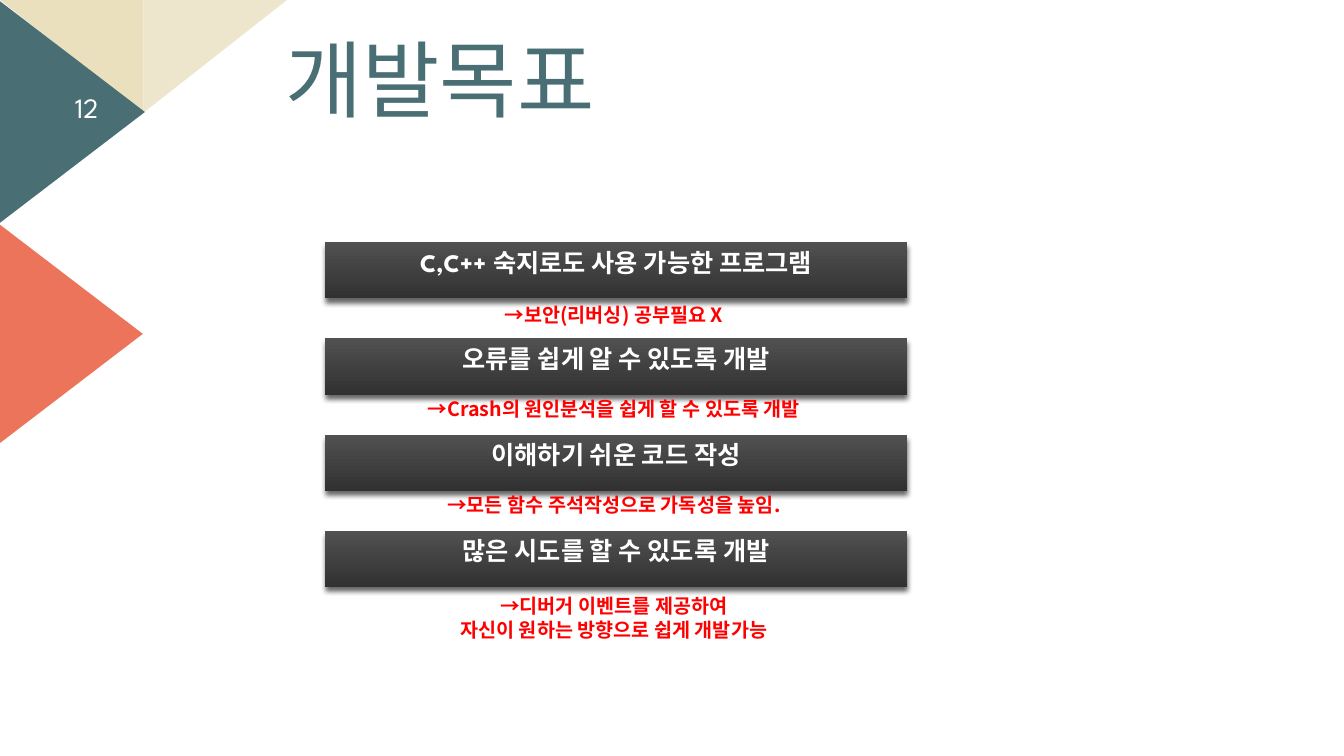
from dataclasses import dataclass

from lxml.etree import SubElement
from pptx import Presentation
from pptx.dml.color import RGBColor
from pptx.enum.shapes import MSO_SHAPE
from pptx.enum.text import MSO_ANCHOR, MSO_AUTO_SIZE, PP_ALIGN
from pptx.oxml.ns import qn
from pptx.util import Pt

TITLE = "개발목표"
PAGE_NUMBER = "12"
# Goal, explanation lines, explanation top and height
GOALS = [
    ("C,C++ 숙지로도 사용 가능한 프로그램", ["→보안(리버싱) 공부필요 X"], 213, 24.5),
    ("오류를 쉽게 알 수 있도록 개발", ["→Crash의 원인분석을 쉽게 할 수 있도록 개발"], 280, 49),
    ("이해하기 쉬운 코드 작성", ["→모든 함수 주석작성으로 가독성을 높임."], 348.5, 24.5),
    ("많은 시도를 할 수 있도록 개발",
     ["→디버거 이벤트를 제공하여", "자신이 원하는 방향으로 쉽게 개발가능"], 421, 41),
]


@dataclass(frozen=True)
class Theme:
    latin: str = "League Spartan"
    korean: str = "Noto Sans CJK KR"
    teal: str = "496F74"
    coral: str = "EC745B"
    sand: str = "EAE0BE"
    pale_sand: str = "EEE6CC"
    bar_top: str = "515151"
    bar_bottom: str = "313131"
    bar_text: str = "FFFFFF"
    page_text: str = "FEFFFF"
    red: str = "FF0000"
    shadow: str = "000000"
    title_size: int = 60
    page_size: int = 20
    goal_size: int = 18
    note_size: int = 14


THEME = Theme()
# Shape, box, rotation, mirrored, colour
TRIANGLES = [
    (MSO_SHAPE.RIGHT_TRIANGLE, (0, 0, 102.5, 80.5), 180, False, THEME.sand),
    (MSO_SHAPE.RIGHT_TRIANGLE, (102.5, 0, 102.5, 80.5), 180, True, THEME.pale_sand),
    (MSO_SHAPE.ISOSCELES_TRIANGLE, (-28, 28, 159, 104), 90, False, THEME.teal),
    (MSO_SHAPE.ISOSCELES_TRIANGLE, (-29.5, 186.5, 159, 104), 90, False, THEME.coral),
]
BAR_LEFT, BAR_TOP, BAR_WIDTH, BAR_HEIGHT, BAR_PITCH = 232, 172.8, 416, 40.3, 68.8
NOTE_LEFT, NOTE_WIDTH = 229, 419


def rgb(color):
    return RGBColor.from_string(color)


def points(box):
    return [Pt(length) for length in box]


def write(shape, lines, font, size, color, bold=False, frame_format=None, **paragraph_format):
    """Fill a shape with one formatted paragraph per line."""
    frame = shape.text_frame
    settings = {"word_wrap": True, "vertical_anchor": MSO_ANCHOR.TOP,
                "auto_size": MSO_AUTO_SIZE.NONE, **(frame_format or {})}
    for name, value in settings.items():
        setattr(frame, name, value)
    for index, line in enumerate(lines):
        paragraph = frame.add_paragraph() if index else frame.paragraphs[0]
        for name, value in paragraph_format.items():
            setattr(paragraph, name, value)
        run = paragraph.add_run()
        run.text = line
        run_format = {"name": font, "size": Pt(size), "bold": bold}
        for name, value in run_format.items():
            setattr(run.font, name, value)
        run.font.color.rgb = rgb(color)
        east_asian = SubElement(run.font._element, qn("a:ea"))
        east_asian.set("typeface", THEME.korean)


def add_plain_shape(slide, kind, box):
    shape = slide.shapes.add_shape(kind, *points(box))
    shape.shadow.inherit = False
    shape.line.fill.background()
    return shape


def add_triangle(slide, kind, box, rotation, mirrored, color):
    triangle = add_plain_shape(slide, kind, box)
    triangle.rotation = rotation
    triangle.fill.solid()
    triangle.fill.fore_color.rgb = rgb(color)
    if mirrored:
        triangle._element.spPr.xfrm.set("flipH", "1")


def add_bar_shadow(bar):
    effects = bar._element.spPr.find(qn("a:effectLst"))
    shadow = SubElement(effects, qn("a:outerShdw"), blurRad=str(Pt(4)), dist=str(Pt(3)),
                        dir="5400000", rotWithShape="0")
    color = SubElement(shadow, qn("a:srgbClr"), val=THEME.shadow)
    SubElement(color, qn("a:alpha"), val="60000")


def add_bar(slide, top, goal):
    bar = add_plain_shape(slide, MSO_SHAPE.RECTANGLE, (BAR_LEFT, top, BAR_WIDTH, BAR_HEIGHT))
    bar.fill.gradient()
    bar.fill.gradient_angle = 270
    for stop, color in zip(bar.fill.gradient_stops, (THEME.bar_top, THEME.bar_bottom)):
        stop.color.rgb = rgb(color)
    add_bar_shadow(bar)
    write(bar, [goal], THEME.latin, THEME.goal_size, THEME.bar_text, True,
          alignment=PP_ALIGN.CENTER, space_before=Pt(10))


def add_note(slide, top, height, lines):
    note = slide.shapes.add_textbox(*points((NOTE_LEFT, top, NOTE_WIDTH, height)))
    write(note, lines, THEME.korean, THEME.note_size, THEME.red, True,
          alignment=PP_ALIGN.CENTER)


def add_title(slide):
    title = slide.shapes.title
    title.left, title.top, title.width, title.height = points((196.5, 24, 436, 93))
    write(title, [TITLE], THEME.korean, THEME.title_size, THEME.teal,
          alignment=PP_ALIGN.LEFT, line_spacing=0.9, space_before=Pt(10))


def add_page_number(slide):
    number = slide.shapes.add_textbox(*points((31.5, 62, 46, 29)))
    write(number, [PAGE_NUMBER], THEME.latin, THEME.page_size, THEME.page_text,
          frame_format={"vertical_anchor": MSO_ANCHOR.MIDDLE}, alignment=PP_ALIGN.RIGHT)


def main():
    presentation = Presentation()
    presentation.slide_width, presentation.slide_height = Pt(960), Pt(540)
    slide = presentation.slides.add_slide(presentation.slide_layouts[5])
    for triangle in TRIANGLES:
        add_triangle(slide, *triangle)
    add_title(slide)
    for index, (goal, note_lines, note_top, note_height) in enumerate(GOALS):
        add_bar(slide, BAR_TOP + index * BAR_PITCH, goal)
        add_note(slide, note_top, note_height, note_lines)
    add_page_number(slide)
    presentation.save("out.pptx")


if __name__ == "__main__":
    main()
